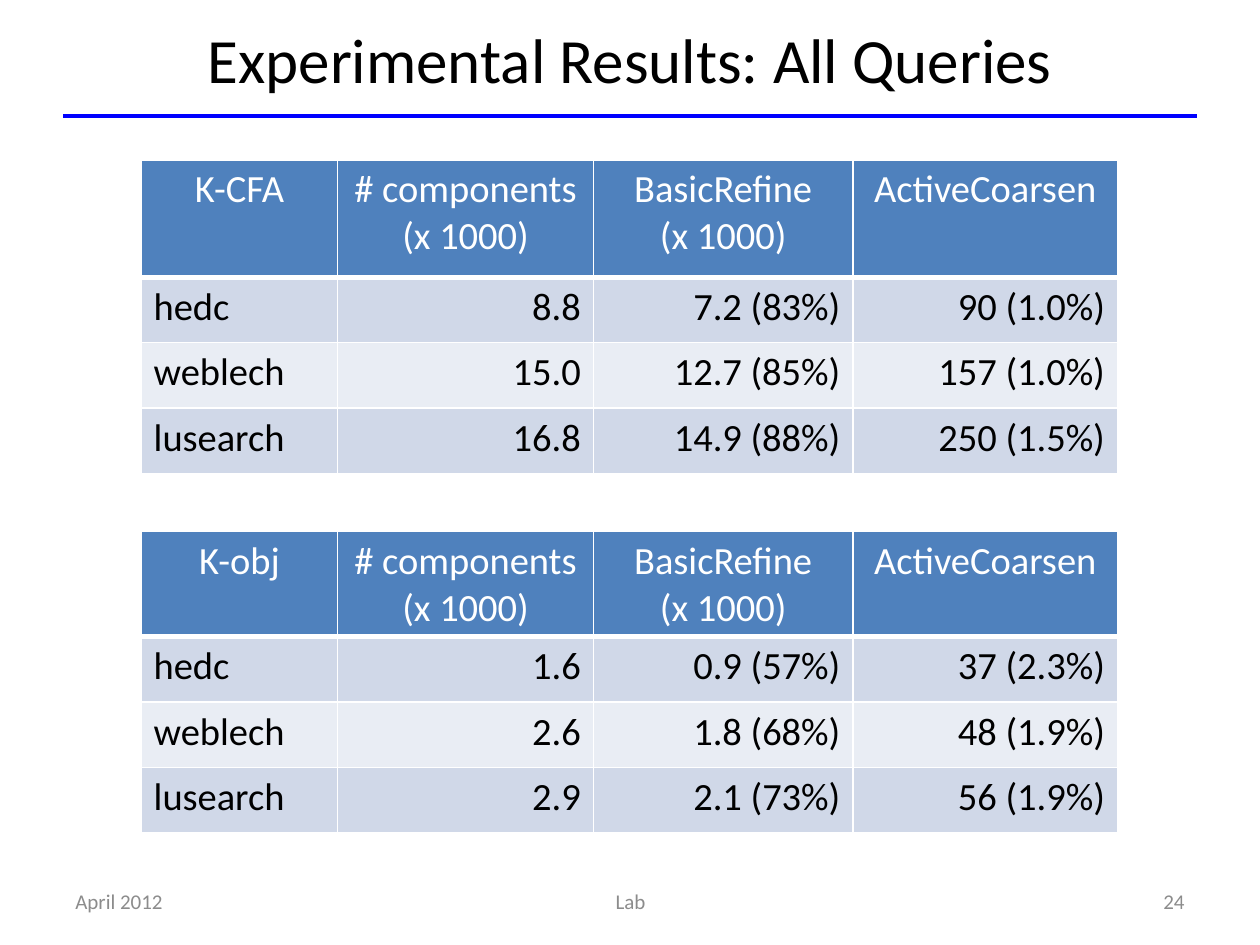
from dataclasses import dataclass

from lxml.etree import SubElement
from pptx import Presentation
from pptx.dml.color import RGBColor
from pptx.enum.shapes import MSO_CONNECTOR
from pptx.enum.text import MSO_ANCHOR, PP_ALIGN as Align
from pptx.oxml.ns import qn
from pptx.util import Inches, Pt

FONT = "Calibri"
COLORS = {
    "text": "000000",
    "footer": "8C8C8C",
    "rule": "0000FF",
    "header": "4F81BD",
    "odd": "D0D8E8",
    "even": "E9EDF4",
    "white": "FFFFFF",
}
COLUMN_WIDTHS = (1.56, 2.03, 2.06, 2.1)
TABLE_LEFT = 1.12
BODY_HEIGHT = 0.52
MEASURES = ("# components\n(x 1000)", "BasicRefine\n(x 1000)", "ActiveCoarsen")


@dataclass
class Label:
    text: str
    left: float
    top: float
    width: float
    height: float
    size: int
    color: str
    align: Align


@dataclass
class Results:
    analysis: str
    top: float
    header_height: float
    rows: tuple


LABELS = (
    Label("Experimental Results: All Queries", 0.5, 0, 9, 0.92, 36, "text", Align.CENTER),
    Label("April 2012", 0.5, 6.95, 2.33, 0.4, 12, "footer", Align.LEFT),
    Label("Lab", 3.42, 6.95, 3.17, 0.4, 12, "footer", Align.CENTER),
    Label("24", 7.17, 6.95, 2.33, 0.4, 12, "footer", Align.RIGHT),
)

RESULTS = (
    Results("K-CFA", 1.27, 0.93, (
        ("hedc", "8.8", "7.2 (83%)", "90 (1.0%)"),
        ("weblech", "15.0", "12.7 (85%)", "157 (1.0%)"),
        ("lusearch", "16.8", "14.9 (88%)", "250 (1.5%)"),
    )),
    Results("K-obj", 4.22, 0.83, (
        ("hedc", "1.6", "0.9 (57%)", "37 (2.3%)"),
        ("weblech", "2.6", "1.8 (68%)", "48 (1.9%)"),
        ("lusearch", "2.9", "2.1 (73%)", "56 (1.9%)"),
    )),
)


def rgb(color: str) -> RGBColor:
    return RGBColor.from_string(COLORS[color])


def write(paragraph, text: str, size: int, color: str, align: Align) -> None:
    paragraph.text = text
    paragraph.alignment = align
    for run in paragraph.runs:
        run.font.name = FONT
        run.font.size = Pt(size)
        run.font.bold = False
        run.font.color.rgb = rgb(color)


def draw_label(slide, label: Label) -> None:
    box = slide.shapes.add_textbox(
        Inches(label.left), Inches(label.top), Inches(label.width), Inches(label.height)
    )
    frame = box.text_frame
    frame.word_wrap = True
    frame.vertical_anchor = MSO_ANCHOR.MIDDLE
    write(frame.paragraphs[0], label.text, label.size, label.color, label.align)


def draw_rule(slide) -> None:
    rule = slide.shapes.add_connector(
        MSO_CONNECTOR.STRAIGHT, Inches(0.5), Inches(0.92), Inches(9.5), Inches(0.92)
    )
    rule.line.color.rgb = rgb("rule")
    rule.line.width = Pt(2.25)
    SubElement(rule._element.spPr, qn("a:effectLst"))


def set_borders(cell, row: int) -> None:
    widths = {"L": 1, "R": 1, "T": 3 if row == 1 else 1, "B": 3 if row == 0 else 1}
    properties = cell._tc.get_or_add_tcPr()
    for side, width in widths.items():
        border = SubElement(properties, qn(f"a:ln{side}"), w=str(Pt(width)))
        fill = SubElement(border, qn("a:solidFill"))
        SubElement(fill, qn("a:srgbClr"), val=COLORS["white"])


def draw_results(slide, results: Results) -> None:
    content = ((results.analysis, *MEASURES), *results.rows)
    heights = (results.header_height, *(BODY_HEIGHT for _ in results.rows))
    table = slide.shapes.add_table(
        len(content), len(COLUMN_WIDTHS), Inches(TABLE_LEFT), Inches(results.top),
        Inches(sum(COLUMN_WIDTHS)), Inches(sum(heights)),
    ).table
    for column, width in zip(table.columns, COLUMN_WIDTHS):
        column.width = Inches(width)
    for r, (values, height) in enumerate(zip(content, heights)):
        table.rows[r].height = Inches(height)
        background = "header" if r == 0 else "odd" if r % 2 else "even"
        for c, value in enumerate(values):
            cell = table.cell(r, c)
            set_borders(cell, r)
            cell.fill.solid()
            cell.fill.fore_color.rgb = rgb(background)
            align = Align.CENTER if r == 0 else Align.RIGHT if c else Align.LEFT
            color = "white" if r == 0 else "text"
            write(cell.text_frame.paragraphs[0], value, 22, color, align)


def main() -> None:
    deck = Presentation()
    deck.slide_width = Inches(10)
    deck.slide_height = Inches(7.5)
    slide = deck.slides.add_slide(deck.slide_layouts[6])
    draw_rule(slide)
    for label in LABELS:
        draw_label(slide, label)
    for results in RESULTS:
        draw_results(slide, results)
    deck.save("out.pptx")


if __name__ == "__main__":
    main()
